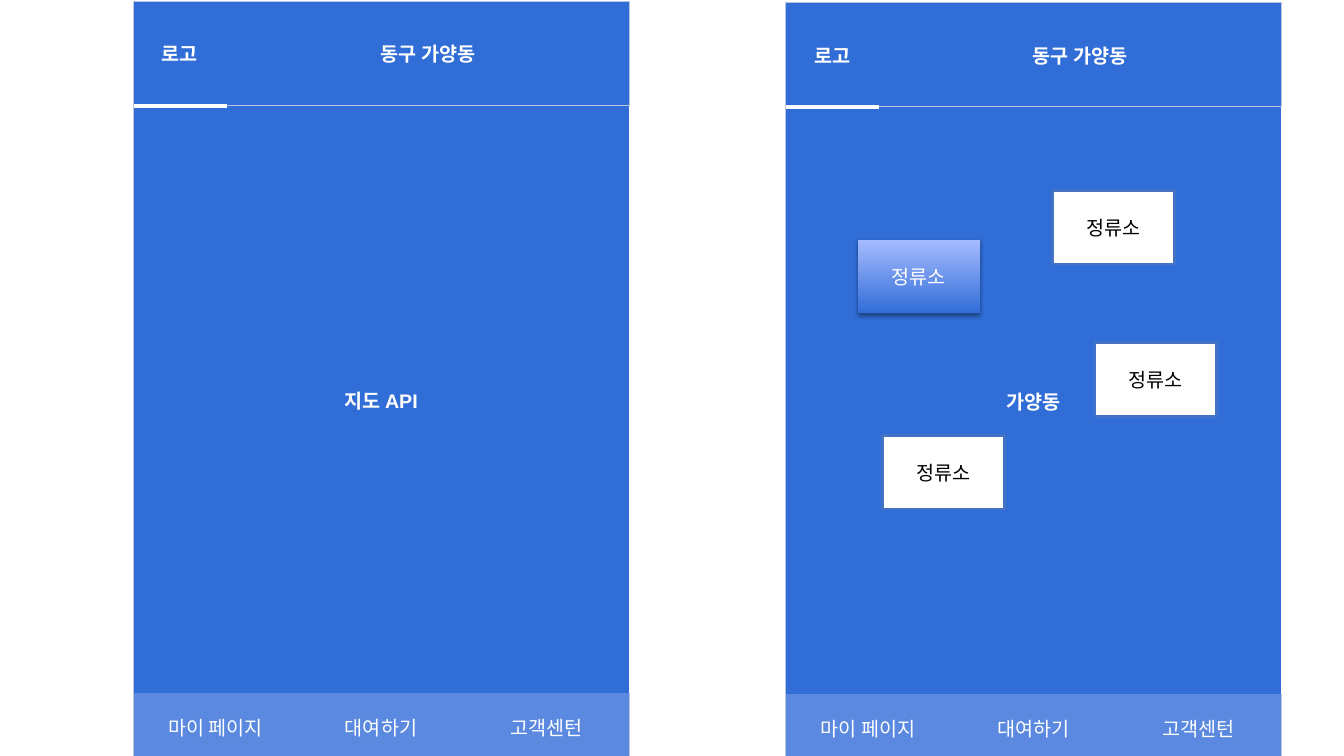
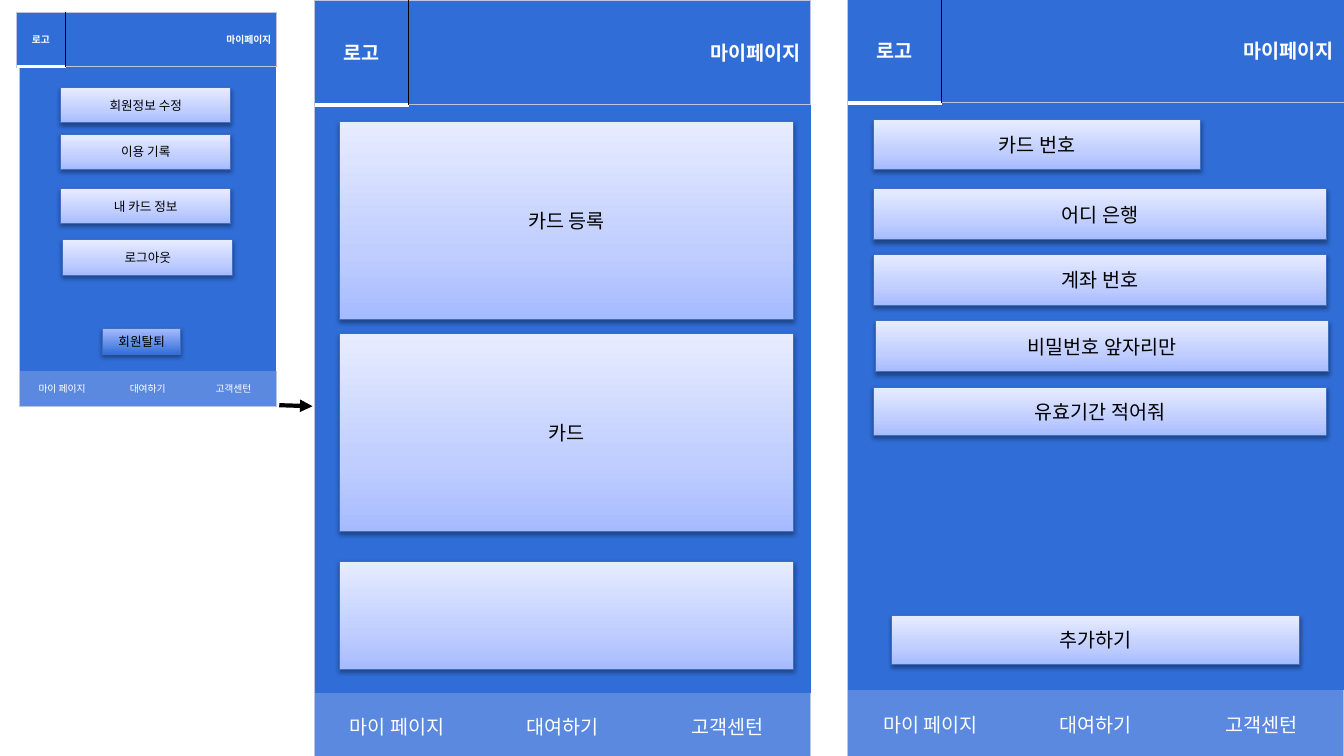
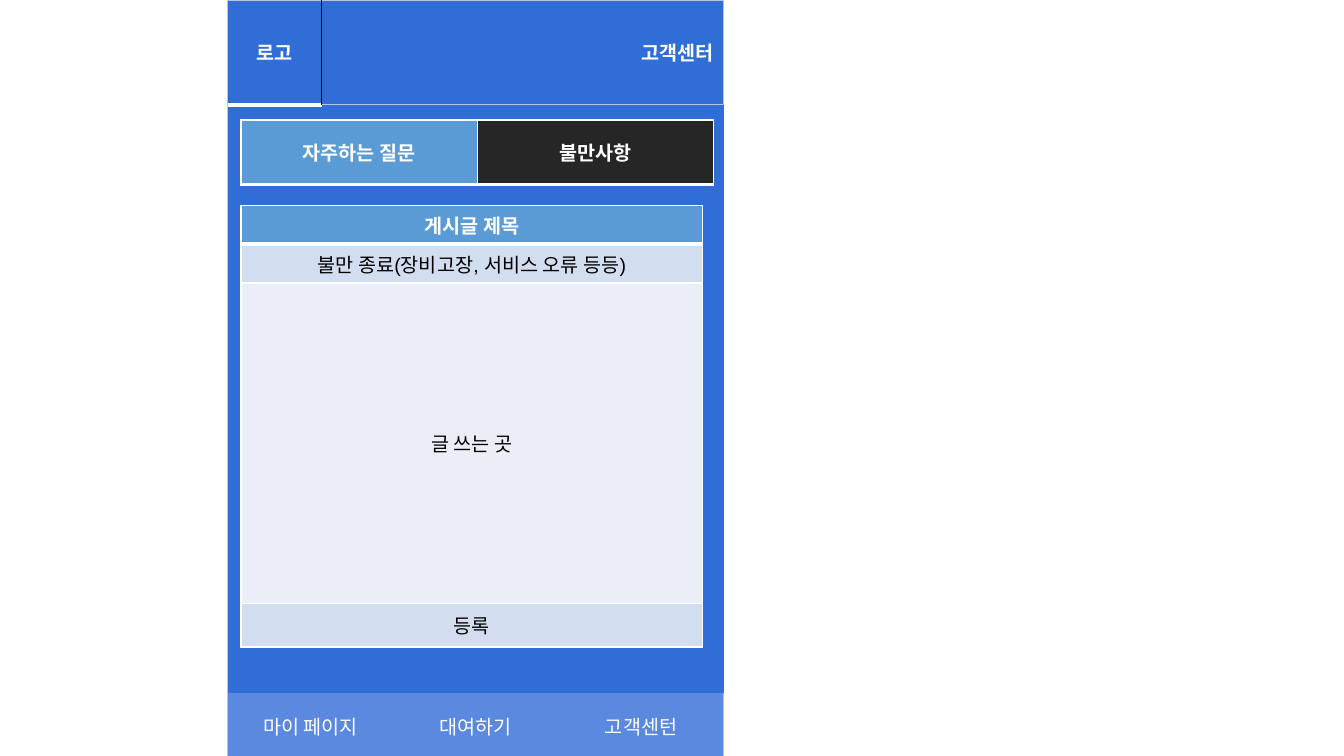
from dataclasses import dataclass

from lxml import etree
from pptx import Presentation
from pptx import util as u
from pptx.dml import color
from pptx.enum import shapes, text
from pptx.oxml import ns

CENTER, RIGHT = text.PP_ALIGN.CENTER, text.PP_ALIGN.RIGHT


@dataclass(frozen=True)
class Theme:
    blue: str = "306DD7"
    menu: str = "5A89DF"
    white: str = "FFFFFF"
    black: str = "000000"
    frame: str = "BCC4E0"
    outline: str = "4472C4"
    edge: str = "3F6FC3"
    sky: str = "5B9BD5"
    dark: str = "262626"
    band: str = "D2DEEF"
    pale: str = "EAEFF7"
    strong: tuple = ((0, "316DD7"), (100, "A6BBFF"))
    soft: tuple = ((0, "A6BBFF"), (35, "C0CEFF"), (100, "E7ECFF"))
    latin: str = "Arial"
    korean: str = "Noto Sans CJK KR"
    normal: float = 14
    small: float = 9
    tiny: float = 7


@dataclass(frozen=True)
class Screen:
    width: float = 4.92
    head: float = 1.04
    home: float = 5.83
    menu: float = 0.67
    logo: float = 0.93
    overhang: float = 0
    size: float = Theme.normal
    inset: tuple = (0.1, 0.05)


FULL = Screen()
MINI = Screen(2.55, 0.54, 3.02, 0.35, 0.49, 0.03, Theme.tiny, (0.05, 0.03))
MENU = ("마이 페이지", "대여하기", "고객센턴")


class Wireframe:
    """Draws the app screens of the presentation, one slide at a time."""

    def __init__(self, theme):
        self.theme = theme
        self.deck = Presentation()
        self.deck.slide_width, self.deck.slide_height = u.Inches(13.33), u.Inches(7.5)
        self.slide = None

    def new_slide(self):
        self.slide = self.deck.slides.add_slide(self.deck.slide_layouts[6])

    def child(self, parent, tag, **values):
        return etree.SubElement(parent, ns.qn(tag), {k: str(v) for k, v in values.items()})

    def label(self, frame, words, ink, size, bold=False, align=CENTER, latin=Theme.latin):
        line = frame.paragraphs[0]
        line.alignment = align
        run = line.add_run()
        run.text = words
        for name, value in {"name": latin, "size": u.Pt(size), "bold": bold}.items():
            setattr(run.font, name, value)
        run.font.color.rgb = color.RGBColor.from_string(ink)
        self.child(run.font._element, "a:ea", typeface=self.theme.korean)

    def table(self, left, top, widths, heights):
        grid = self.slide.shapes.add_table(
            len(heights), len(widths), u.Inches(left), u.Inches(top),
            u.Inches(sum(widths)), u.Inches(sum(heights))).table
        grid.first_row = grid.horz_banding = False
        for column, width in zip(grid.columns, widths):
            column.width = u.Inches(width)
        for row, height in zip(grid.rows, heights):
            row.height = u.Inches(height)
        return grid

    def cell(self, cell, fill, edges, words="", ink=Theme.white, inset=(0.1, 0.05), **style):
        side, end = map(u.Inches, inset)
        layout = {"margin_left": side, "margin_right": side, "margin_top": end,
                  "margin_bottom": end, "vertical_anchor": text.MSO_ANCHOR.MIDDLE}
        for name, value in layout.items():
            setattr(cell, name, value)
        properties = cell._tc.get_or_add_tcPr()
        for key in "lrtb":
            if key in edges:
                tone, points = edges[key]
                border = self.child(properties, f"a:ln{key.upper()}", w=int(u.Pt(points)))
                self.child(self.child(border, "a:solidFill"), "a:srgbClr", val=tone)
            else:
                border = self.child(properties, f"a:ln{key.upper()}", w=0)
                self.child(border, "a:noFill")
        cell.fill.solid()
        cell.fill.fore_color.rgb = color.RGBColor.from_string(fill)
        if words:
            self.label(cell.text_frame, words, ink, **style)

    def screen(self, left, top, title, align=RIGHT, home="", divider=True, form=FULL):
        t = self.theme
        thin, thick = (t.frame, 0.75), (t.white, 3)
        look = {"size": form.size, "inset": form.inset}

        body = self.table(left, top + form.head, [form.width / 3] * 3, [form.home, form.menu])
        last = len(MENU) - 1
        for i, entry in enumerate(MENU):
            sides = {key: thin for key, at in (("l", 0), ("r", last)) if i == at}
            words = "" if i else home
            self.cell(body.cell(0, i), t.blue, {**sides, "t": thin}, words, bold=True, **look)
            self.cell(body.cell(1, i), t.menu, {**sides, "b": thin}, entry, **look)
        body.cell(0, 0).merge(body.cell(0, last))

        width = form.width + form.overhang
        head = self.table(left - form.overhang, top, [form.logo, width - form.logo], [form.head])
        middle = {"l": (t.black, 1), "r": (t.black, 1)} if divider else {}
        self.cell(head.cell(0, 0), t.blue, {**middle, "l": thin, "t": thin, "b": thick},
                  "로고", bold=True, **look)
        self.cell(head.cell(0, 1), t.blue, {**middle, "t": thin, "r": thin, "b": thin},
                  title, bold=True, align=align, **look)

    def box(self, left, top, width, height, words, ink, size):
        box = self.slide.shapes.add_shape(
            shapes.MSO_SHAPE.RECTANGLE, *map(u.Inches, (left, top, width, height)))
        box.shadow.inherit = False
        box.text_frame.word_wrap = True
        box.text_frame.vertical_anchor = text.MSO_ANCHOR.MIDDLE
        if words:
            self.label(box.text_frame, words, ink, size, latin=self.theme.korean)
        return box

    def outline(self, box, tone, points):
        box.line.color.rgb = color.RGBColor.from_string(tone)
        box.line.width = u.Pt(points)

    def stop(self, left, top):
        t = self.theme
        box = self.box(left, top, 1.21, 0.73, "정류소", t.black, t.normal)
        box.fill.solid()
        box.fill.fore_color.rgb = color.RGBColor.from_string(t.white)
        self.outline(box, t.outline, 2)

    def button(self, left, top, width, height, words="", size=Theme.normal,
               ink=Theme.black, stops=Theme.soft, edged=True):
        box = self.box(left, top, width, height, words, ink, size)
        box.fill.gradient()
        box.fill.gradient_angle = 90
        properties = box._element.spPr
        ramp = properties.find(".//" + ns.qn("a:gsLst"))
        for old in list(ramp):
            ramp.remove(old)
        for percent, tone in stops:
            self.child(self.child(ramp, "a:gs", pos=percent * 1000), "a:srgbClr", val=tone)
        if edged:
            self.outline(box, self.theme.edge, 0.75)
        else:
            box.line.fill.background()
        shade = self.child(properties.find(ns.qn("a:effectLst")), "a:outerShdw",
                           blurRad=int(u.Pt(3.1)), dist=int(u.Pt(1.7)), dir=5400000, rotWithShape=0)
        tone = self.child(shade, "a:srgbClr", val=self.theme.black)
        self.child(tone, "a:alpha", val=37000)

    def arrow(self, *ends):
        link = self.slide.shapes.add_connector(
            shapes.MSO_CONNECTOR.STRAIGHT, *map(u.Inches, ends))
        self.outline(link, self.theme.black, 3)
        self.child(link.line._get_or_add_ln(), "a:tailEnd", type="triangle")
        self.child(link._element.spPr, "a:effectLst")

    def tabs(self, left, top, width, height, entries):
        t = self.theme
        edges = {**dict.fromkeys("ltr", (t.white, 1)), "b": (t.white, 3)}
        grid = self.table(left, top, [width / len(entries)] * len(entries), [height])
        for i, (words, fill) in enumerate(entries):
            self.cell(grid.cell(0, i), fill, edges, words, size=t.normal, bold=True)

    def post_form(self, left, top, width, rows):
        t = self.theme
        grid = self.table(left, top, [width], [height for height, _, _ in rows])
        for i, (_, words, fill) in enumerate(rows):
            edges = dict.fromkeys("ltrb", (t.white, 1))
            if i < 2:
                edges["bt"[i]] = (t.white, 3)
            self.cell(grid.cell(i, 0), fill, edges, words, size=t.normal,
                      ink=t.black if i else t.white, bold=i == 0)


def main():
    theme = Theme()
    app = Wireframe(theme)

    app.new_slide()
    app.screen(1.32, 0.01, "동구 가양동", CENTER, "지도 API", divider=False)
    app.screen(7.79, 0.02, "동구 가양동", CENTER, "가양동", divider=False)
    app.button(8.51, 2.38, 1.21, 0.73, "정류소", ink=theme.white, stops=theme.strong, edged=False)
    for left, top in ((10.44, 1.89), (10.86, 3.4), (8.75, 4.32)):
        app.stop(left, top)

    app.new_slide()
    app.arrow(2.77, 4.02, 3.1, 4.03)
    app.screen(0.19, 0.12, "마이페이지", form=MINI)
    for left, top, words in ((0.6, 0.87, "회원정보 수정"), (0.6, 1.33, "이용 기록"),
                             (0.6, 1.87, "내 카드 정보"), (0.62, 2.38, "로그아웃")):
        app.button(left, top, 1.69, 0.35, words, theme.small)
    app.button(1.02, 3.26, 0.77, 0.26, "회원탈퇴", theme.small, stops=theme.strong)

    app.screen(3.12, 0, "마이페이지")
    for top, height, words in ((1.21, 1.96, "카드 등록"), (3.31, 1.96, "카드"), (5.57, 1.07, "")):
        app.button(3.37, top, 4.5, height, words)

    app.screen(8.41, -0.02, "마이페이지")
    for left, top, width, height, words in (
            (8.66, 1.19, 3.25, 0.49, "카드 번호"),
            (8.66, 1.87, 4.5, 0.51, "어디 은행"),
            (8.66, 2.52, 4.5, 0.51, "계좌 번호"),
            (8.68, 3.18, 4.5, 0.51, "비밀번호 앞자리만"),
            (8.66, 3.84, 4.5, 0.48, "유효기간 적어줘"),
            (8.84, 6.11, 4.05, 0.48, "추가하기")):
        app.button(left, top, width, height, words)

    app.new_slide()
    app.screen(2.26, 0, "고객센터")
    app.tabs(2.39, 1.19, 4.69, 0.64, (("자주하는 질문", theme.sky), ("불만사항", theme.dark)))
    app.post_form(2.39, 2.04, 4.58, (
        (0.38, "게시글 제목", theme.sky),
        (0.38, "불만 종료(장비고장, 서비스 오류 등등)", theme.band),
        (3.18, "글 쓰는 곳", theme.pale),
        (0.43, "등록", theme.band)))

    app.deck.save("out.pptx")


if __name__ == "__main__":
    main()
